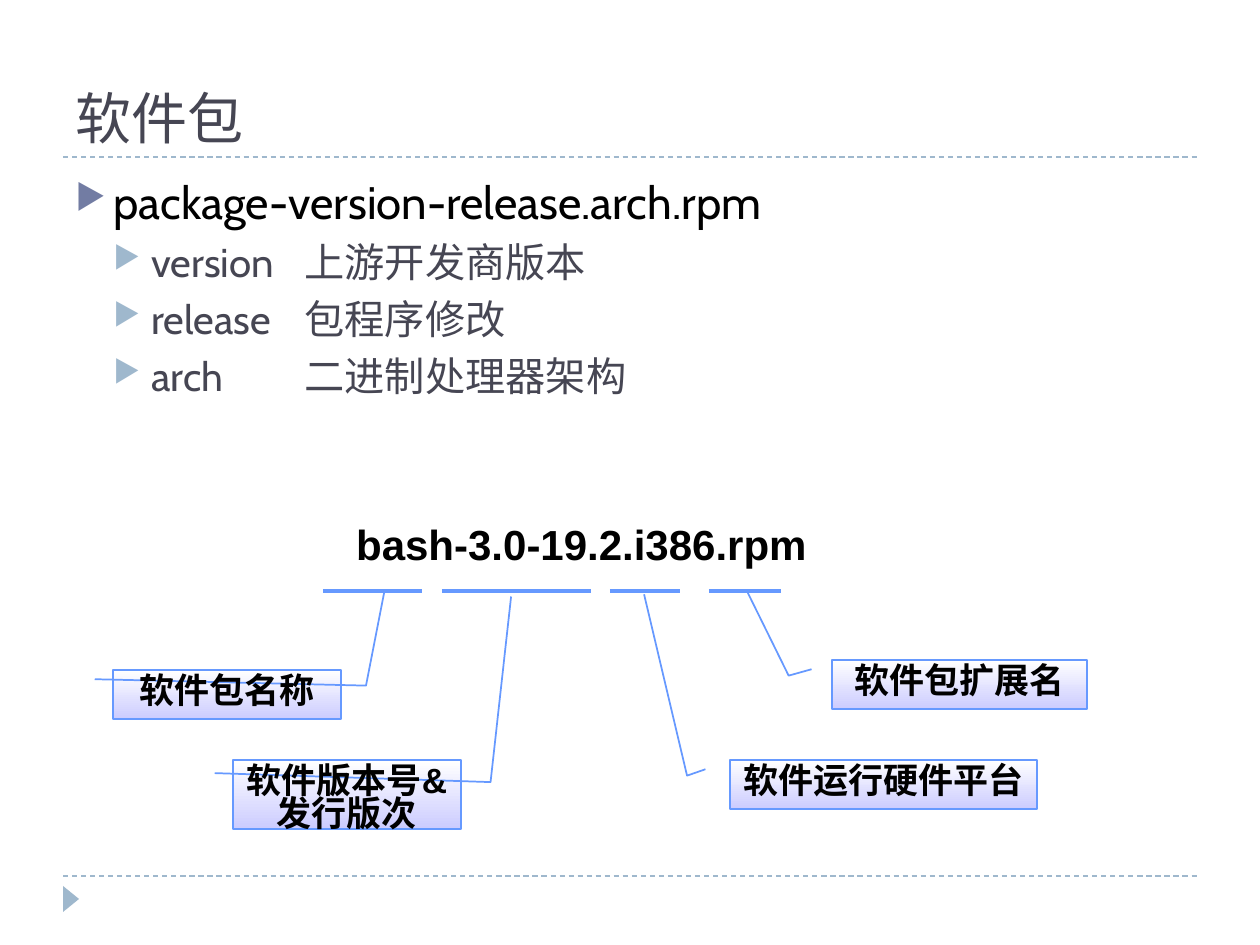
"""Build the slide that explains how an RPM package file is named."""
from lxml import etree
from pptx import Presentation, util as u
from pptx.dml.color import RGBColor
from pptx.enum import dml, shapes, text
from pptx.oxml.ns import qn

PX = u.Inches(1) / 126
COLORS = {"ink": "000000", "slate": "464653", "indigo": "727CA3", "mist": "9FB8CD",
          "blue": "6699FF", "white": "FFFFFF", "lilac": "CCCCFF"}


def style(paragraph, face, size, color, bold=False):
    font = paragraph.font
    font.name, font.size, font.bold = face, u.Pt(size), bold
    font.color.rgb = RGBColor.from_string(COLORS[color])


def rule(parent, left, right, y, color, width):
    line = parent.shapes.add_connector(
        shapes.MSO_CONNECTOR.STRAIGHT, *[round(n * PX) for n in (left, y, right, y)])
    line.line.color.rgb = RGBColor.from_string(COLORS[color])
    line.line.width = u.Pt(width)
    etree.SubElement(line._element.spPr, qn("a:effectLst"))
    return line


deck = Presentation()
deck.slide_width, deck.slide_height = u.Inches(10), u.Inches(7.5)
page = deck.slides.add_slide(deck.slide_layouts[5])

for y in (876, 157):
    rule(page, 63, 1197, y, "mist", 0.75).line.dash_style = dml.MSO_LINE.DASH

marker = page.shapes.add_shape(shapes.MSO_SHAPE.ISOSCELES_TRIANGLE,
                               *[round(n * PX) for n in (58, 891, 26, 16)])
marker.rotation = 90
marker.shadow.inherit = False
marker.fill.solid()
marker.fill.fore_color.rgb = RGBColor.from_string(COLORS["mist"])
marker.line.fill.background()

title = page.shapes.title
title.left, title.top, title.width, title.height = [round(n * PX) for n in (63, 21, 1134, 136)]
title.text_frame.text = "软件包"
title.text_frame.vertical_anchor = text.MSO_ANCHOR.BOTTOM
title.text_frame.paragraphs[0].alignment = text.PP_ALIGN.LEFT
style(title.text_frame.paragraphs[0], "Roboto Slab", 32, "slate")

body = page.shapes.add_textbox(*[round(n * PX) for n in (63, 168, 1134, 680)])
body.text_frame.word_wrap = True
points = [
    (0, "package-version-release.arch.rpm", 26, "ink", "indigo"),
    (1, "version\t上游开发商版本", 23, "slate", "mist"),
    (1, "release\t包程序修改", 23, "slate", "mist"),
    (1, "arch\t二进制处理器架构", 23, "slate", "mist"),
]
body.text_frame.text = "\n".join(point[1] for point in points)
for para, (level, wording, size, color, bullet) in zip(body.text_frame.paragraphs, points):
    para.level = level
    if level:
        para.space_before = u.Pt(5)
    props = para._p.get_or_add_pPr()
    props.set("marL", str(round(38 * (level + 1) * PX)))
    props.set("indent", str(round(-38 * PX)))
    bullet_color = etree.SubElement(props, qn("a:buClr"))
    etree.SubElement(bullet_color, qn("a:srgbClr"), val=COLORS[bullet])
    etree.SubElement(props, qn("a:buSzPct"), val="76000")
    etree.SubElement(props, qn("a:buChar"), char="▶")
    if level:
        tabs = etree.SubElement(props, qn("a:tabLst"))
        etree.SubElement(tabs, qn("a:tab"), pos=str(round(229 * PX)), algn="l")
    style(para, "Cabin", size, color)

callouts = [
    ("软件包名称", (323, 422), 2, (113, 670, 228, 49), (1.11, -1.59, 1.19)),
    ("软件版本号&发行版次", (442, 591), 2.25, (233, 760, 228, 69), (1.13, -2.37, 1.22)),
    ("软件运行硬件平台", (610, 680), 2.25, (730, 760, 307, 49), (-0.14, -3.38, -0.28)),
    ("软件包扩展名", (709, 781), 2.25, (832, 660, 255, 49), (-0.17, -1.37, -0.33)),
]
for label, (left, right), width, place, (bend_x, tip_y, tip_x) in callouts:
    group = page.shapes.add_group_shape()
    rule(group, left, right, 591, "blue", width)
    callout = group.shapes.add_shape(shapes.MSO_SHAPE.LINE_CALLOUT_2,
                                     *[round(n * PX) for n in place])
    for index, value in enumerate((0.19, -0.08, 0.32, bend_x, tip_y, tip_x)):
        callout.adjustments[index] = value
    callout.shadow.inherit = False
    callout.fill.gradient()
    callout.fill.gradient_angle = 270
    for stop, position, color in zip(callout.fill.gradient_stops, (0, 1), ("white", "lilac")):
        stop.position = position
        stop.color.rgb = RGBColor.from_string(COLORS[color])
    callout.line.color.rgb = RGBColor.from_string(COLORS["blue"])
    callout.line.width = u.Pt(1)
    callout.text_frame.word_wrap = True
    callout.text_frame.vertical_anchor = text.MSO_ANCHOR.TOP
    callout.text_frame.text = label
    para = callout.text_frame.paragraphs[0]
    para.alignment = text.PP_ALIGN.CENTER
    para.line_spacing = 0.8
    style(para, "Arial", 20, "ink", True)

example = page.shapes.add_textbox(*[round(n * PX) for n in (323, 512, 517, 63)])
example.text_frame.word_wrap = True
example.text_frame.text = "bash-3.0-19.2.i386.rpm"
example.text_frame.paragraphs[0].alignment = text.PP_ALIGN.CENTER
style(example.text_frame.paragraphs[0], "Arial", 24, "ink", True)

deck.save("out.pptx")
